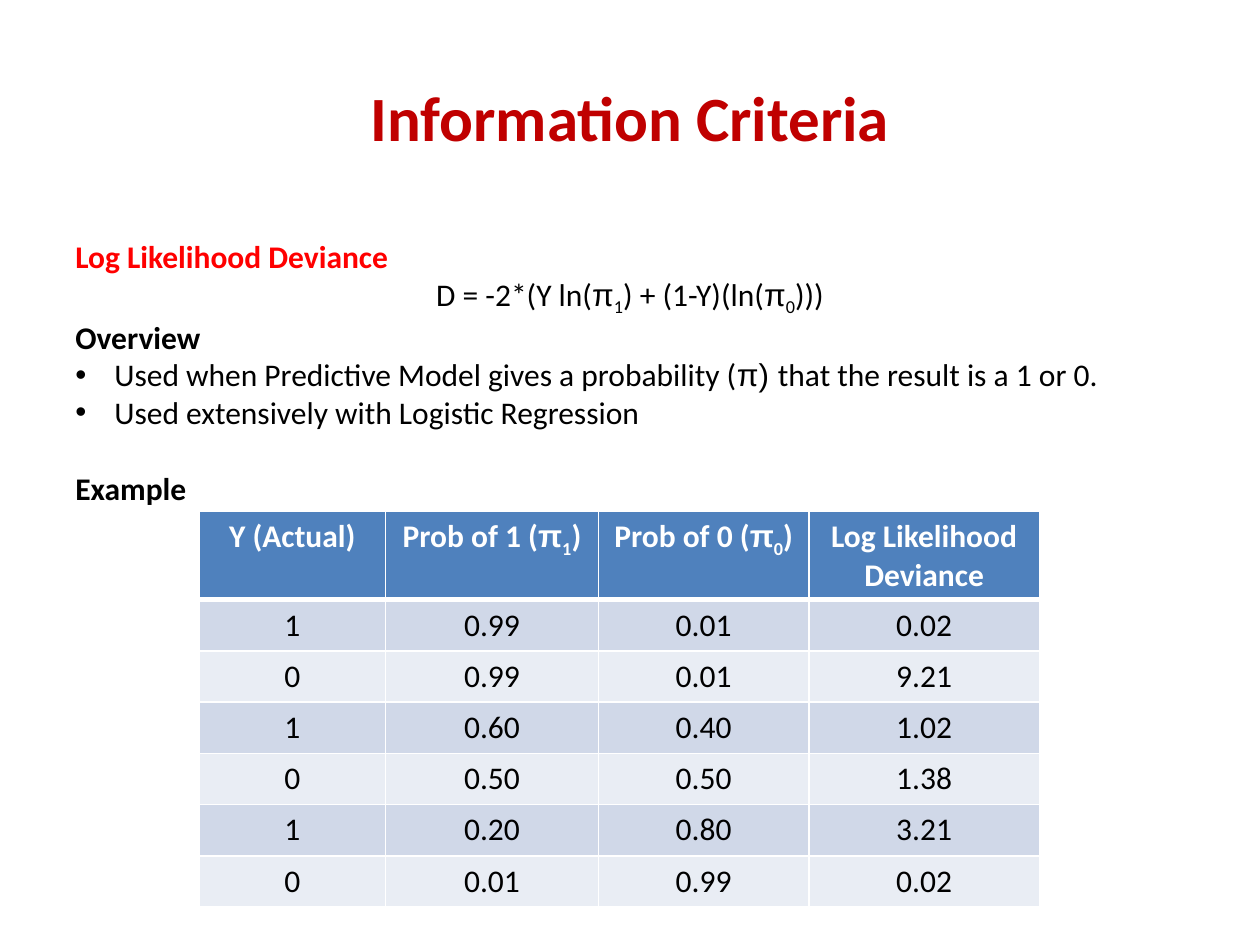
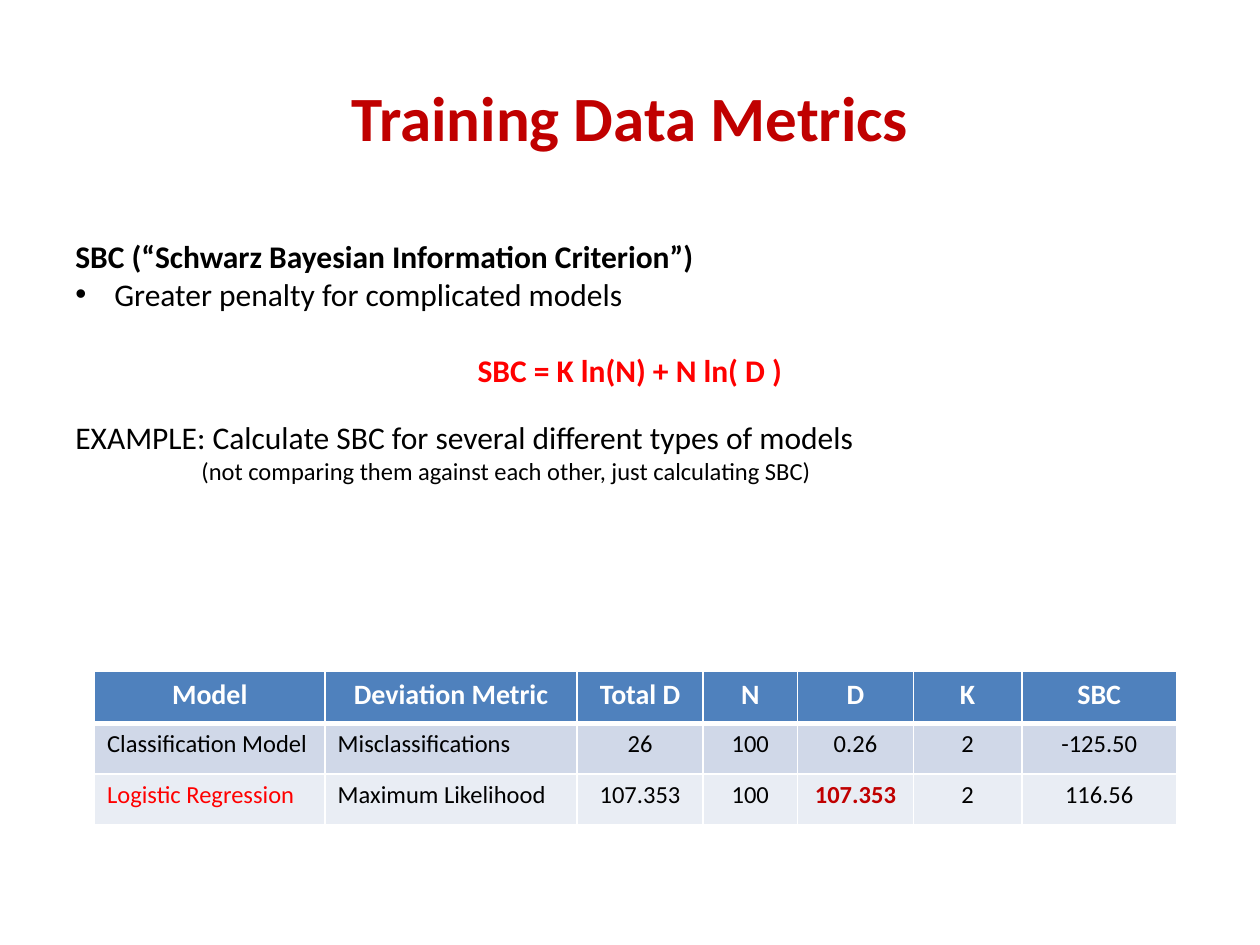
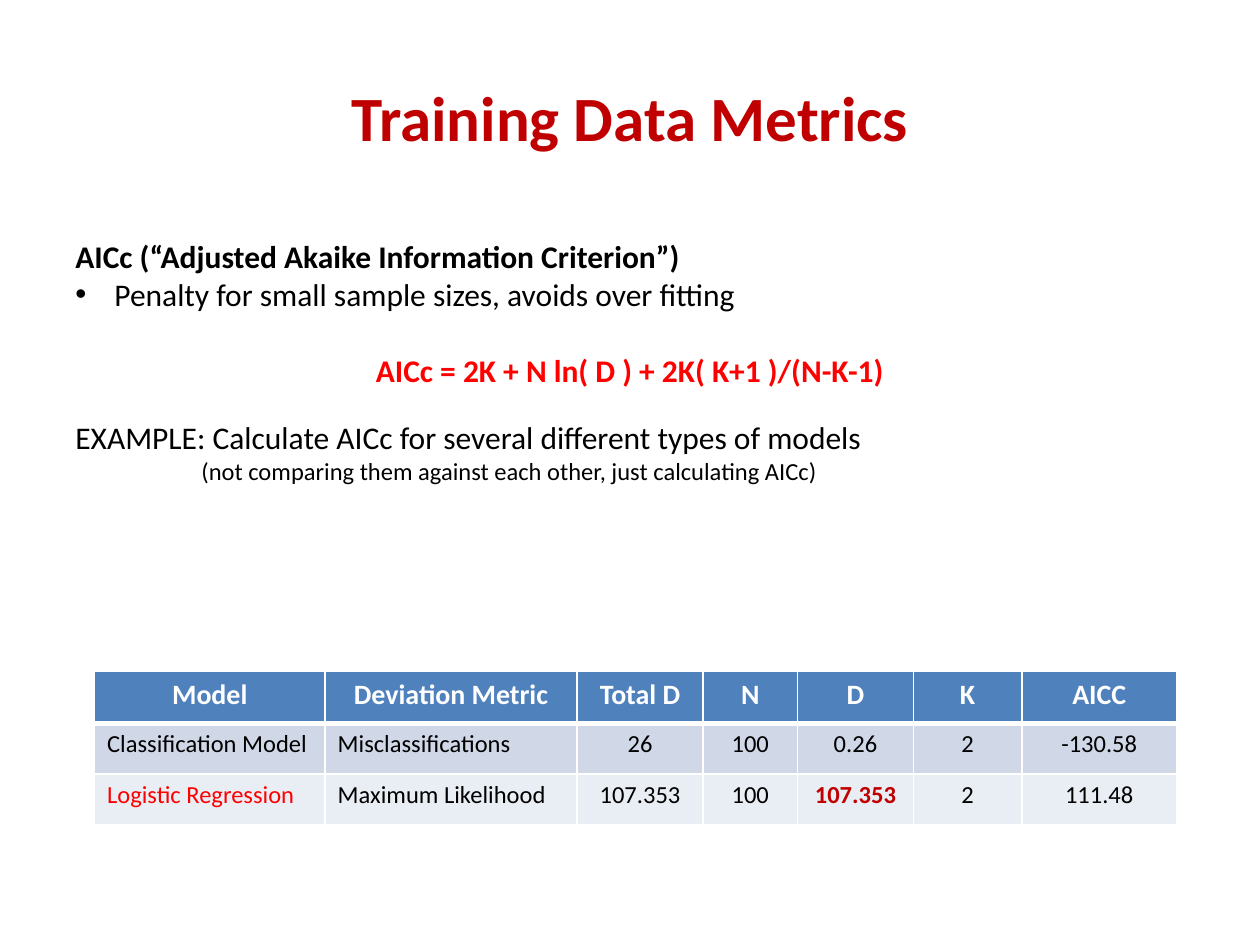
from lxml import etree
from pptx import Presentation
from pptx import util as u
from pptx.dml.color import RGBColor
from pptx.enum import text
from pptx.oxml.ns import qn

HUES = {"title": "C00000", "red": "FF0000", "ink": "000000", "white": "FFFFFF",
        "head": "4F81BD", "odd": "D0D8E8", "even": "E9EDF4"}
FONT, GREEK = "Calibri", "Arial"
LEFT, MID = text.PP_ALIGN.LEFT, text.PP_ALIGN.CENTER
TITLE = (0.5, 0.3, 9, 1.25)


def hue(name):
    return RGBColor.from_string(HUES[name])


def write(para, line, size=18, color="ink", bold=False, align=LEFT):
    para.alignment = align
    font = para.font
    font.name, font.size, font.bold = FONT, u.Pt(size), bold
    font.color.rgb = hue(color)
    for part in line.split("|"):
        run = para.add_run()
        run.text = part.lstrip("_")
        if part.startswith("π"):
            run.font.name = GREEK
        elif part.startswith("_"):
            run._r.get_or_add_rPr().set("baseline", "-25000")


def indent(para, left, bullet):
    props = para._p.get_or_add_pPr()
    props.set("marL", str(u.Inches(left)))
    if bullet:
        props.set("indent", str(-u.Inches(left)))
        etree.SubElement(props, qn("a:buFont")).set("typeface", GREEK)
        etree.SubElement(props, qn("a:buChar")).set("char", "•")


def add_box(slide, box, lines, anchor=text.MSO_ANCHOR.TOP):
    frame = slide.shapes.add_textbox(*map(u.Inches, box)).text_frame
    frame.word_wrap = True
    frame.vertical_anchor = anchor
    for i, (line, style) in enumerate(lines):
        style = dict(style)
        para = frame.add_paragraph() if i else frame.paragraphs[0]
        para.space_before = u.Pt(style.pop("gap", 0))
        left, bullet = style.pop("left", 0), style.pop("bullet", False)
        if left:
            indent(para, left, bullet)
        write(para, line, **style)


def add_title(slide, line):
    style = {"size": 36, "color": "title", "bold": True, "align": MID}
    add_box(slide, TITLE, [(line, style)], text.MSO_ANCHOR.MIDDLE)


def edge(cell, top, base):
    props = cell._tc.get_or_add_tcPr()
    for side, width in zip("LRTB", (1, 1, top, base)):
        line = etree.SubElement(props, qn("a:ln" + side), w=str(u.Pt(width)))
        fill = etree.SubElement(line, qn("a:solidFill"))
        etree.SubElement(fill, qn("a:srgbClr"), val=HUES["white"])


def add_grid(slide, box, cols, rows, head, look):
    grid = slide.shapes.add_table(len(rows), len(cols), *map(u.Inches, box)).table
    grid.horz_banding = False
    for col, width in zip(grid.columns, cols):
        col.width = u.Inches(width)
    step = (box[3] - head) / (len(rows) - 1)
    for r, row in enumerate(rows):
        grid.rows[r].height = u.Inches(step if r else head)
        band = ("even", "odd")[r % 2] if r else "head"
        for c, line in enumerate(row):
            cell = grid.cell(r, c)
            edge(cell, 3 if r == 1 else 1, 1 if r else 3)
            cell.fill.solid()
            cell.fill.fore_color.rgb = hue(band)
            write(cell.text_frame.paragraphs[0], line, **look(r, c))


def prob_look(r, c):
    if r:
        return {"align": MID}
    return {"color": "white", "bold": True, "align": MID}


def model_look(r, c):
    if not r:
        return {"size": 16, "color": "white", "bold": True, "align": MID}
    style = {"size": 14, "align": LEFT if c < 2 else MID}
    marks = {(2, 0): {"color": "red"}, (2, 4): {"color": "title", "bold": True}}
    return style | marks.get((r, c), {})


BULLET = {"left": 0.31, "bullet": True}


def deviance(slide):
    add_title(slide, "Information Criteria")
    add_box(slide, (0.5, 1.83, 9, 2.22), [
        ("Log Likelihood Deviance", {"color": "red", "bold": True}),
        ("D = -2*(Y ln(|π|_1|) + (1-Y)(ln(|π|_0|)))", {"align": MID}),
        ("Overview", {"bold": True}),
        ("Used when Predictive Model gives a probability (|π) |that the result is a 1 or 0.",
         BULLET),
        ("Used extensively with Logistic Regression", BULLET),
        ("Example", {"bold": True, "gap": 22}),
    ])
    rows = [
        ("Y (Actual)", "Prob of 1 (|π|_1|)", "Prob of 0 (|π|_0|)", "Log Likelihood Deviance"),
        ("1", "0.99", "0.01", "0.02"),
        ("0", "0.99", "0.01", "9.21"),
        ("1", "0.60", "0.40", "1.02"),
        ("0", "0.50", "0.50", "1.38"),
        ("1", "0.20", "0.80", "3.21"),
        ("0", "0.01", "0.99", "0.02"),
    ]
    add_grid(slide, (1.58, 4.06, 6.67, 3.13), (1.48, 1.69, 1.67, 1.83),
             rows, 0.69, prob_look)


def metric(slide, name, full, note, rule, label, scores):
    add_title(slide, "Training Data Metrics")
    add_box(slide, (0.5, 1.83, 9, 2.79), [
        (f"{name} (“{full}”)", {"bold": True}),
        (note, BULLET),
        (f"{name} = {rule}", {"color": "red", "bold": True, "align": MID, "gap": 22}),
        (f"EXAMPLE: Calculate {name} for several different types of models", {"gap": 17}),
        (f"(not comparing them against each other, just calculating {name})",
         {"size": 14, "left": 1}),
    ])
    rows = [
        ("Model", "Deviation Metric", "Total D", "N", "D", "K", label),
        ("Classification Model", "Misclassifications", "26", "100", "0.26", "2", scores[0]),
        ("Logistic Regression", "Maximum Likelihood", "107.353", "100", "107.353", "2",
         scores[1]),
    ]
    add_grid(slide, (0.75, 5.33, 8.58, 1.22), (1.83, 2, 1, 0.75, 0.92, 0.86, 1.23),
             rows, 0.41, model_look)


def main():
    deck = Presentation()
    deck.slide_width, deck.slide_height = u.Inches(10), u.Inches(7.5)
    blank = deck.slide_layouts[6]
    deviance(deck.slides.add_slide(blank))
    metric(deck.slides.add_slide(blank), "SBC", "Schwarz Bayesian Information Criterion",
           "Greater penalty for complicated models", "K ln(N) + N ln( D )",
           "SBC", ("-125.50", "116.56"))
    metric(deck.slides.add_slide(blank), "AICc", "Adjusted Akaike Information Criterion",
           "Penalty for small sample sizes, avoids over fitting",
           "2K + N ln( D ) + 2K( K+1 )/(N-K-1)", "AICC", ("-130.58", "111.48"))
    deck.save("out.pptx")


if __name__ == "__main__":
    main()
